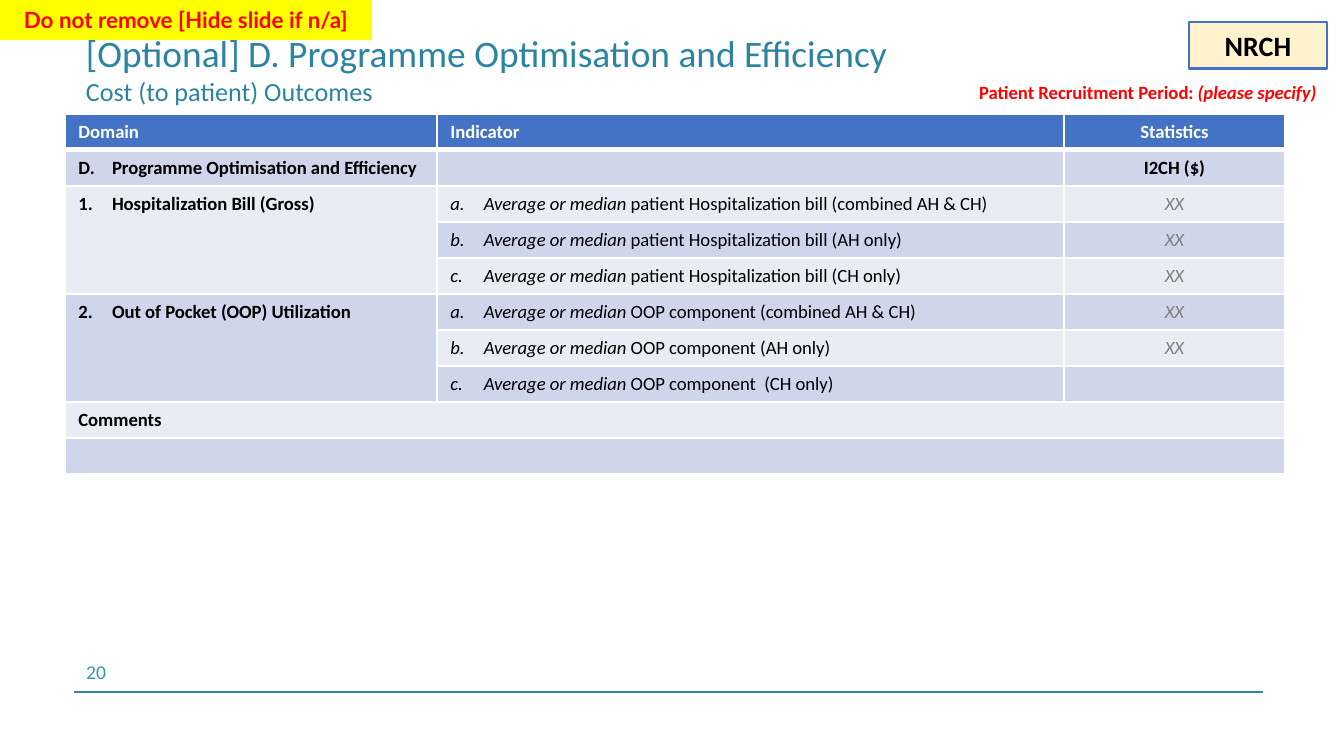
from dataclasses import dataclass
from lxml import etree
from pptx import Presentation
from pptx.dml.color import RGBColor
from pptx.enum.shapes import MSO_CONNECTOR, MSO_SHAPE
from pptx.enum.text import MSO_ANCHOR, PP_ALIGN
from pptx.oxml.ns import qn
from pptx.util import Emu, Pt

LEFT, CENTER = PP_ALIGN.LEFT, PP_ALIGN.CENTER
TOP, MIDDLE = MSO_ANCHOR.TOP, MSO_ANCHOR.MIDDLE
RECT, STRAIGHT = MSO_SHAPE.RECTANGLE, MSO_CONNECTOR.STRAIGHT
UPPER, NUMBER, LOWER = "alphaUcPeriod", "arabicPeriod", "alphaLcPeriod"


@dataclass(frozen=True)
class Theme:
    font: str = "Calibri"
    alert_font: str = "Lato"
    title: str = "2B84A1"
    page: str = "3596B0"
    rule: str = "31859C"
    header: str = "4472C4"
    bands: tuple = ("E9EBF5", "CFD5EA")
    badge: str = "FFF2CC"
    yellow: str = "FFFF00"
    red: str = "FF0000"
    grey: str = "808080"
    white: str = "FFFFFF"
    black: str = "000000"
    title_size: float = 20
    subtitle_size: float = 14
    badge_size: float = 15
    alert_size: float = 12
    page_size: float = 10.5
    body_size: float = 10


T = Theme()
TITLE = "[Optional] D. Programme Optimisation and Efficiency"
SUBTITLE = "Cost (to patient) Outcomes"
PERIOD = [("Patient Recruitment Period: ", {}), ("(please specify) ", {"italic": True})]
BADGE = "NRCH"
ALERT = "Do not remove [Hide slide if n/a]"
PAGE = "20"
HEADERS = ["Domain", "Indicator", "Statistics"]
SECTION = ("Programme Optimisation and Efficiency", "I2CH ($)")
LEAD = "Average or median "
DOMAINS = [
    ("Hospitalization Bill (Gross)", [
        ("patient Hospitalization bill (combined AH & CH)", "XX"),
        ("patient Hospitalization bill (AH only)", "XX"),
        ("patient Hospitalization bill (CH only)", "XX"),
    ]),
    ("Out of Pocket (OOP) Utilization", [
        ("OOP component (combined AH & CH)", "XX"),
        ("OOP component (AH only)", "XX"),
        ("OOP component  (CH only)", ""),
    ]),
]
COMMENTS = "Comments"
COLUMNS = [372, 627, 221]
ROW_H = 36


def px(n):
    return Emu(round(n * 914400 / 134.4))


def rgb(value):
    return RGBColor.from_string(value)


def write(tf, runs, size=T.body_size, color=T.black, font=T.font, bold=False,
          italic=False, align=LEFT, number=None, start=1):
    p = tf.paragraphs[0]
    p.alignment = align
    for text, extra in [(runs, {})] if isinstance(runs, str) else runs:
        if extra.get("new_line"):
            p.add_line_break()
        r = p.add_run()
        r.text = text
        r.font.name = font
        r.font.size = Pt(extra.get("size", size))
        r.font.bold = bold
        r.font.italic = extra.get("italic", italic)
        r.font.color.rgb = rgb(color)
    if number:
        pPr = p._p.get_or_add_pPr()
        pPr.set("marL", "228600")
        pPr.set("indent", "-228600")
        etree.SubElement(pPr, qn("a:buFont"), typeface="+mj-lt")
        etree.SubElement(pPr, qn("a:buAutoNum"), type=number, startAt=str(start))


def add_text(s, box, runs, anchor=TOP, **fmt):
    tf = s.shapes.add_textbox(*map(px, box)).text_frame
    tf.word_wrap = True
    tf.vertical_anchor = anchor
    write(tf, runs, **fmt)
    return tf


def add_label(s, box, runs, fill, line=None, **fmt):
    sp = s.shapes.add_shape(RECT, *map(px, box))
    sp.shadow.inherit = False
    sp.fill.solid()
    sp.fill.fore_color.rgb = rgb(fill)
    if line:
        sp.line.color.rgb = rgb(line)
        sp.line.width = Pt(1.5)
    else:
        sp.line.fill.background()
    sp.text_frame.word_wrap = True
    sp.text_frame.vertical_anchor = MIDDLE
    write(sp.text_frame, runs, align=CENTER, bold=True, **fmt)


def style_cell(cell, row):
    cell.fill.solid()
    cell.fill.fore_color.rgb = rgb(T.bands[row % 2] if row else T.header)
    widths = {"L": 1, "R": 1, "T": 3 if row == 1 else 1, "B": 1 if row else 3}
    tcPr = cell._tc.get_or_add_tcPr()
    for i, (side, width) in enumerate(widths.items()):
        ln = etree.Element(qn(f"a:ln{side}"), w=str(Pt(width)))
        fill = etree.SubElement(ln, qn("a:solidFill"))
        etree.SubElement(fill, qn("a:srgbClr"), val=T.white)
        tcPr.insert(i, ln)
    p = cell.text_frame.paragraphs[0]
    if not p.runs:
        etree.SubElement(p._p, qn("a:endParaRPr"), sz=str(T.body_size * 100))


def add_outcomes(s):
    count = 4 + sum(len(items) for _, items in DOMAINS)
    frame = s.shapes.add_table(count, len(COLUMNS), px(65), px(114),
                               px(sum(COLUMNS)), px(ROW_H * count))
    table = frame.table
    for column, width in zip(table.columns, COLUMNS):
        column.width = px(width)
    for row in table.rows:
        row.height = px(ROW_H)

    def fill_cell(row, col, runs, **fmt):
        align = CENTER if col == 2 else LEFT
        write(table.cell(row, col).text_frame, runs, align=align, **fmt)

    for col, text in enumerate(HEADERS):
        fill_cell(0, col, text, bold=True, color=T.white)
    fill_cell(1, 0, SECTION[0], bold=True, number=UPPER, start=4)
    table.cell(1, 0).vertical_anchor = MIDDLE
    fill_cell(1, 2, SECTION[1], bold=True)
    row = 2
    for n, (domain, items) in enumerate(DOMAINS, 1):
        table.cell(row, 0).merge(table.cell(row + len(items) - 1, 0))
        fill_cell(row, 0, domain, bold=True, number=NUMBER, start=n)
        for i, (indicator, value) in enumerate(items, 1):
            fill_cell(row, 1, [(LEAD, {"italic": True}), (indicator, {})],
                      number=LOWER, start=i)
            if value:
                fill_cell(row, 2, value, italic=True, color=T.grey)
            row += 1
    fill_cell(row, 0, COMMENTS, bold=True)
    for r in (row, row + 1):
        table.cell(r, 0).merge(table.cell(r, 2))
    for r in range(count):
        for c in range(len(COLUMNS)):
            style_cell(table.cell(r, c), r)


def main():
    prs = Presentation()
    prs.slide_width, prs.slide_height = px(1344), px(756)
    s = prs.slides.add_slide(prs.slide_layouts[6])

    add_text(s, (73, 653, 160, 38), PAGE, size=T.page_size, color=T.page)
    rule = s.shapes.add_connector(STRAIGHT, px(74), px(692), px(1263), px(692))
    rule.line.color.rgb = rgb(T.rule)
    rule.line.width = Pt(1)
    etree.SubElement(rule._element.spPr, qn("a:effectLst"))

    heading = [(TITLE, {}), (SUBTITLE, {"new_line": True, "size": T.subtitle_size})]
    tf = add_text(s, (75, 27, 900, 83), heading, anchor=MIDDLE,
                  size=T.title_size, color=T.title)
    tf.margin_left = tf.margin_right = px(11)
    tf.margin_top = tf.margin_bottom = px(5)

    add_outcomes(s)
    add_label(s, (964, 74, 372, 36), PERIOD, T.white, color=T.red)
    add_label(s, (1189, 22, 138, 47), BADGE, T.badge, line=T.header, size=T.badge_size)
    add_label(s, (0, 0, 372, 40), ALERT, T.yellow, color=T.red,
              size=T.alert_size, font=T.alert_font)
    prs.save("out.pptx")


if __name__ == "__main__":
    main()
